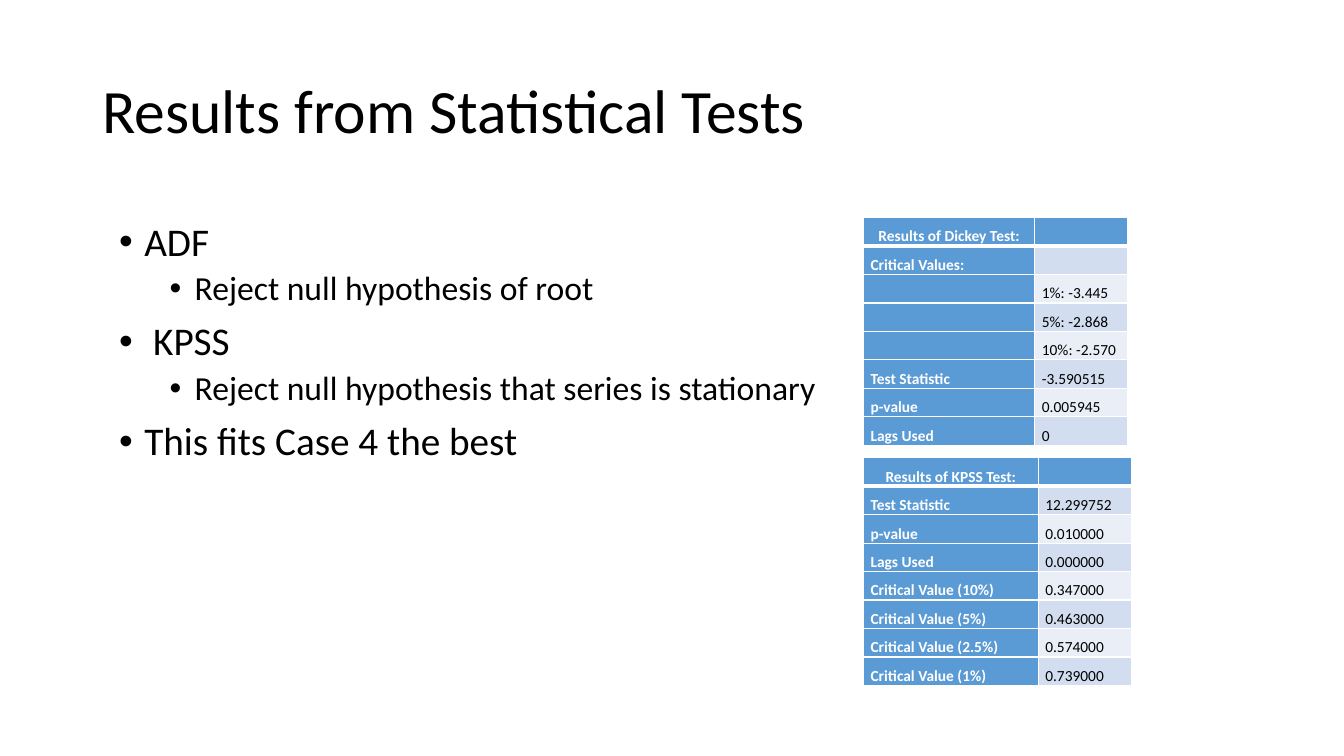
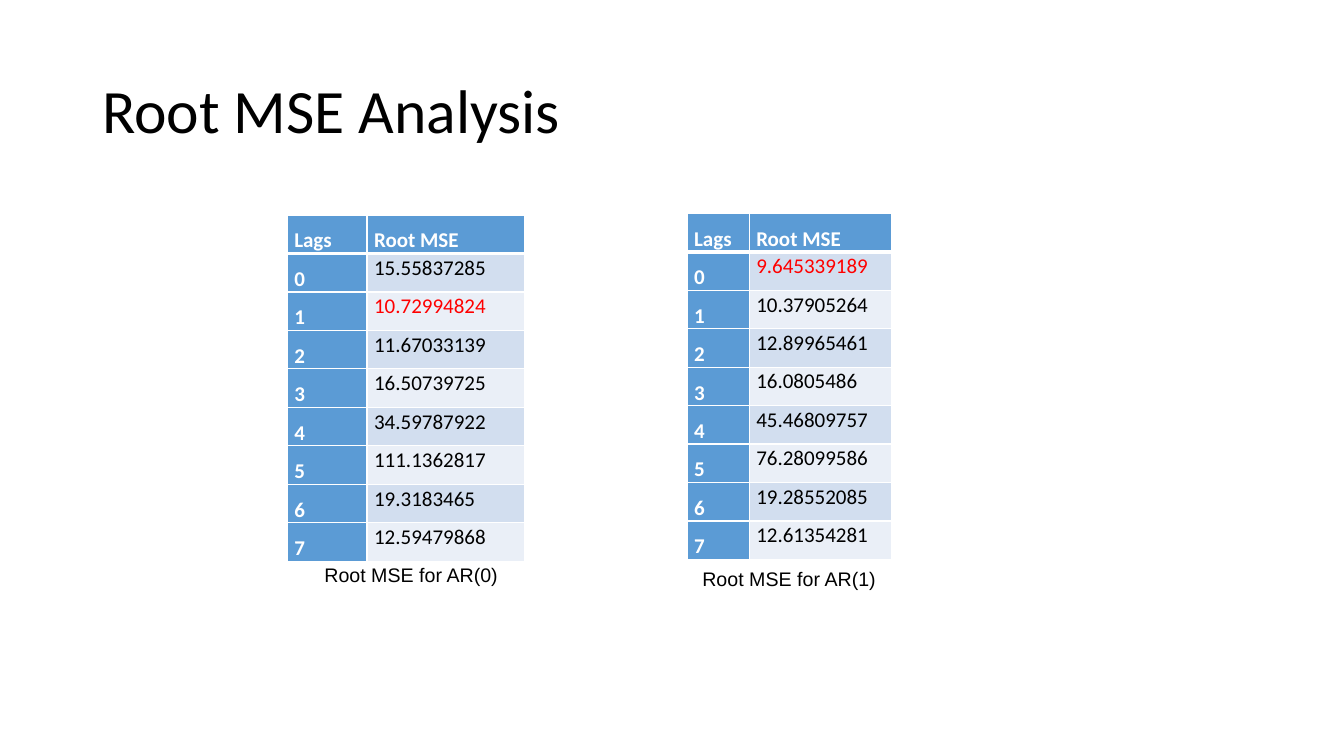
"""Build two slides on time-series tests: statistical results and root MSE tables."""
from lxml import etree
from pptx import Presentation
from pptx.dml.color import RGBColor
from pptx.enum import text
from pptx.oxml import ns
from pptx.util import Inches, Pt

BLACK = RGBColor(0x00, 0x00, 0x00)
WHITE = RGBColor(0xFF, 0xFF, 0xFF)
RED = RGBColor(0xFF, 0x00, 0x00)
BLUE = RGBColor(0x5B, 0x9B, 0xD5)
BANDS = [RGBColor(0xEA, 0xEF, 0xF7), RGBColor(0xD2, 0xDE, 0xEF)]
CENTER = text.PP_ALIGN.CENTER
LEFT = text.PP_ALIGN.LEFT

deck = Presentation()
deck.slide_width, deck.slide_height = Inches(13.33), Inches(7.5)
COLUMN = deck.slide_width / 160
ROW = deck.slide_height / 90


def add_text(page, left, top, width, height, lines, size, face="Calibri", spacing=0.9):
    box = page.shapes.add_textbox(
        int(left * COLUMN), int(top * ROW), int(width * COLUMN), int(height * ROW))
    frame = box.text_frame
    frame.word_wrap = True
    frame.text = "\n".join(lines)
    for para in frame.paragraphs:
        para.line_spacing = spacing
        para.font.size = Pt(size)
        for span in para.runs:
            span.font.size, span.font.name = Pt(size), face
            span.font.color.rgb = BLACK
    return frame


def add_grid(page, left, top, widths, row_height, rows, size, value_spacing, head_align, marked=""):
    table = page.shapes.add_table(
        len(rows), 2, int(left * COLUMN), int(top * ROW),
        int(sum(widths) * COLUMN), int(len(rows) * row_height * ROW)).table
    for column, width in zip(table.columns, widths):
        column.width = int(width * COLUMN)
    for r, values in enumerate(rows):
        for c, value in enumerate(values):
            cell = table.cell(r, c)
            label = r == 0 or c == 0
            cell.margin_left = cell.margin_right = Inches(0.07)
            cell.margin_top = cell.margin_bottom = 0
            for side in "LRTB":
                thick = (r, side) in [(0, "B"), (1, "T")]
                line = etree.SubElement(cell._tc.get_or_add_tcPr(), ns.qn(f"a:ln{side}"),
                                        w=str(Pt(3 if thick else 1)))
                solid = etree.SubElement(line, ns.qn("a:solidFill"))
                etree.SubElement(solid, ns.qn("a:srgbClr"), val=str(WHITE))
            cell.fill.solid()
            cell.fill.fore_color.rgb = BLUE if label else BANDS[r % 2]
            cell.text_frame.text = value
            para = cell.text_frame.paragraphs[0]
            para.line_spacing = 1.5 if label else value_spacing
            para.alignment = head_align if r == 0 else LEFT
            if not value:
                para.line_spacing = 1
                para._p.get_or_add_endParaRPr().set("sz", str(size * 100))
            for span in para.runs:
                span.font.size, span.font.name = Pt(size), "Calibri"
                span.font.bold = label
                span.font.color.rgb = WHITE if label else RED if value == marked else BLACK


pages = []
for title in ["Results from Statistical Tests", "Root MSE Analysis"]:
    page = deck.slides.add_slide(deck.slide_layouts[6])
    frame = add_text(page, 11, 4.8, 138, 17.4, [title], 44)
    frame.vertical_anchor = text.MSO_ANCHOR.MIDDLE
    pages.append(page)
tests_page, errors_page = pages

dickey_rows = [
    ("Results of Dickey Test:", ""),
    ("Critical Values:", ""),
    ("", "1%: -3.445"),
    ("", "5%: -2.868"),
    ("", "10%: -2.570"),
    ("Test Statistic", "-3.590515"),
    ("p-value", "0.005945"),
    ("Lags Used", "0"),
]
kpss_rows = [
    ("Results of KPSS Test:", ""),
    ("Test Statistic", "12.299752"),
    ("p-value", "0.010000"),
    ("Lags Used", "0.000000"),
    ("Critical Value (10%)", "0.347000"),
    ("Critical Value (5%)", "0.463000"),
    ("Critical Value (2.5%)", "0.574000"),
    ("Critical Value (1%)", "0.739000"),
]
for top, widths, rows in [(25.9, (20.4, 11), dickey_rows), (54.5, (20.8, 11.1), kpss_rows)]:
    add_grid(tests_page, 102.8, top, widths, 3.39, rows, 11, 1.5, CENTER)

findings = [
    (0, "ADF"),
    (1, "Reject null hypothesis of root"),
    (0, " KPSS"),
    (1, "Reject null hypothesis that series is stationary"),
    (0, "This fits Case 4 the best"),
]
frame = add_text(tests_page, 13, 25.9, 138, 57.1, [line for level, line in findings], 28)
for para, (level, line) in zip(frame.paragraphs, findings):
    para.level = level
    para.space_before = Pt(5 if level else 10)
    para.runs[0].font.size = Pt(24 if level else 28)
    props = para._p.get_or_add_pPr()
    props.set("marL", str(Inches(0.25 + 0.5 * level)))
    props.set("indent", str(Inches(-0.25)))
    bullet = etree.Element(ns.qn("a:buChar"), char="•")
    props.find(ns.qn("a:defRPr")).addprevious(bullet)
    bullet.addprevious(etree.Element(ns.qn("a:buFont"), typeface="Arial"))

ar0_errors = ["15.55837285", "10.72994824", "11.67033139", "16.50739725",
              "34.59787922", "111.1362817", "19.3183465", "12.59479868"]
ar1_errors = ["9.645339189", "10.37905264", "12.89965461", "16.0805486",
              "45.46809757", "76.28099586", "19.28552085", "12.61354281"]
models = [
    ("Root MSE for AR(0)", ar0_errors, 34.2, 25.6, (9.5, 18.7), 16, 65),
    ("Root MSE for AR(1)", ar1_errors, 81.8, 25.4, (7.4, 16.9), 61, 65.5),
]
for caption, errors, left, top, widths, caption_left, caption_top in models:
    rows = [("Lags", "Root MSE")] + [(str(lag), error) for lag, error in enumerate(errors)]
    add_grid(errors_page, left, top, widths, 4.58, rows, 15, 1.07, LEFT, min(errors, key=float))
    frame = add_text(errors_page, caption_left, caption_top, 65.9, 10.4, [caption], 14, "Arial", 1.5)
    frame.paragraphs[0].alignment = CENTER
    frame.paragraphs[0].space_after = Pt(8)

deck.save("out.pptx")
